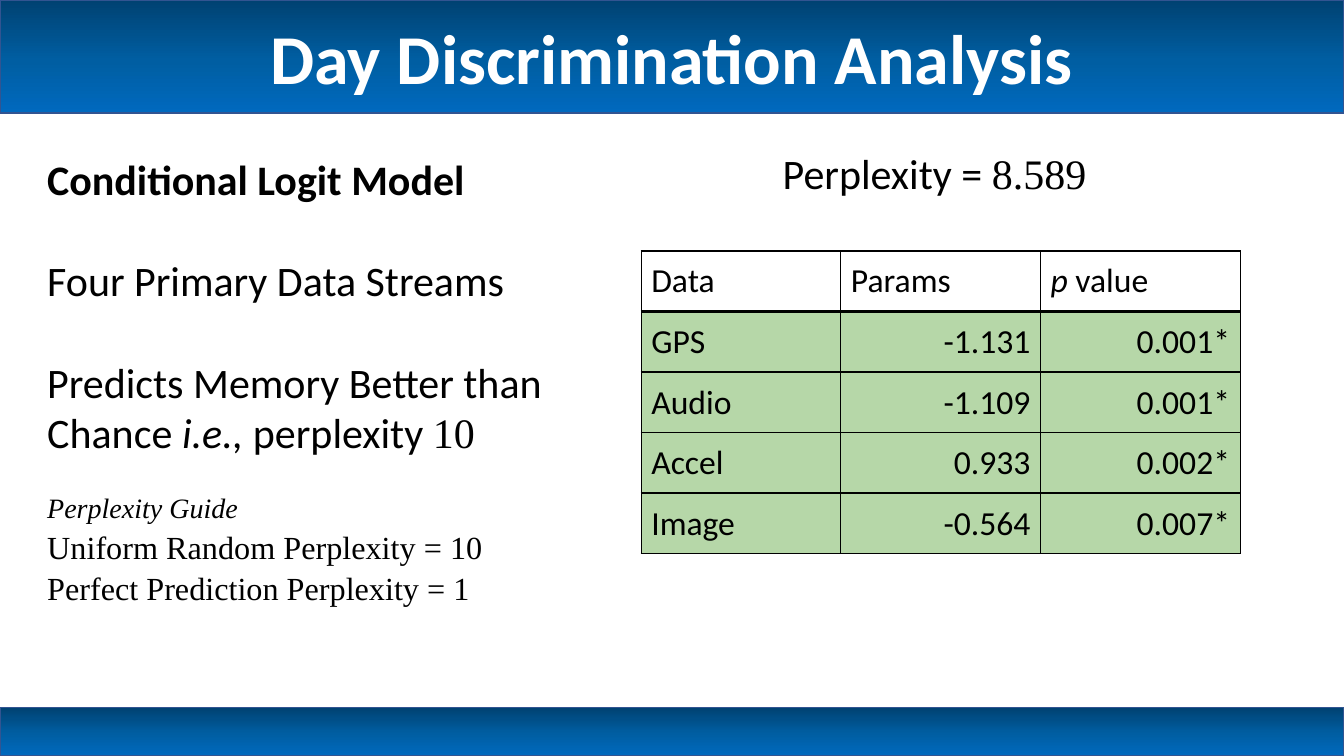
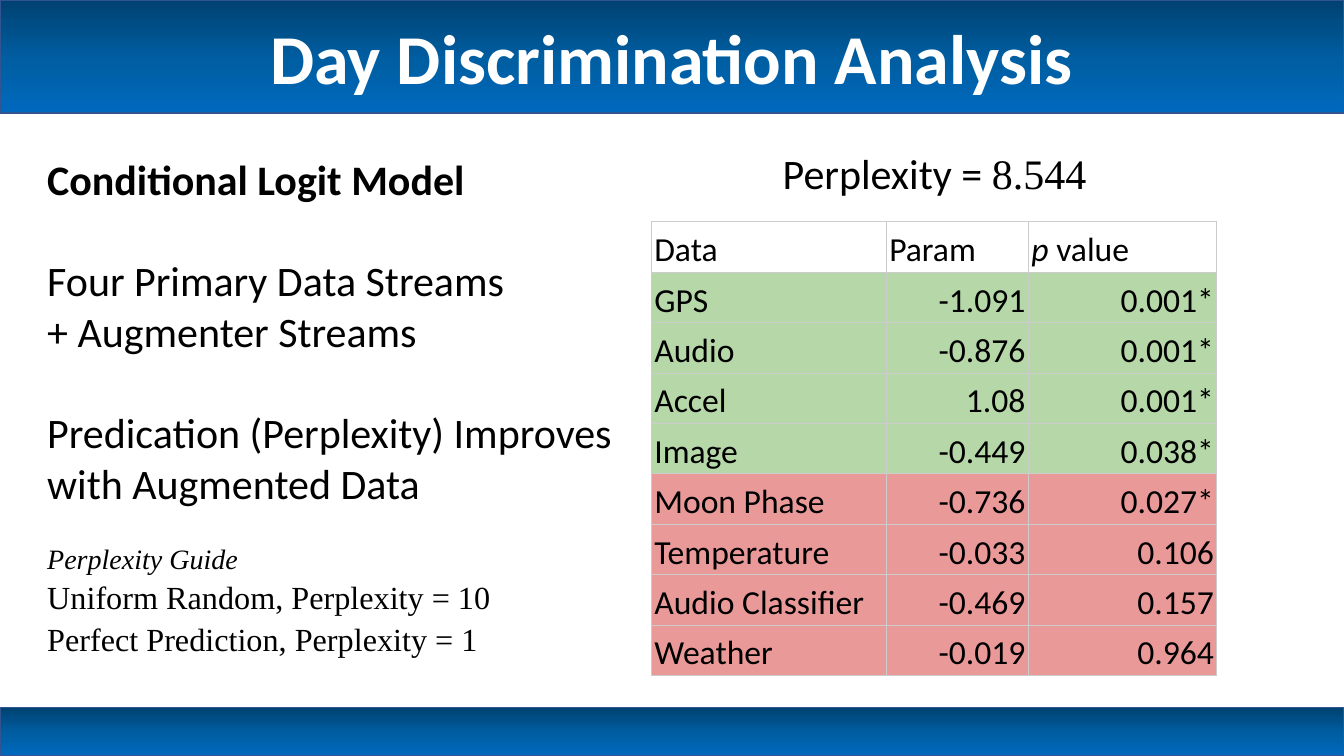
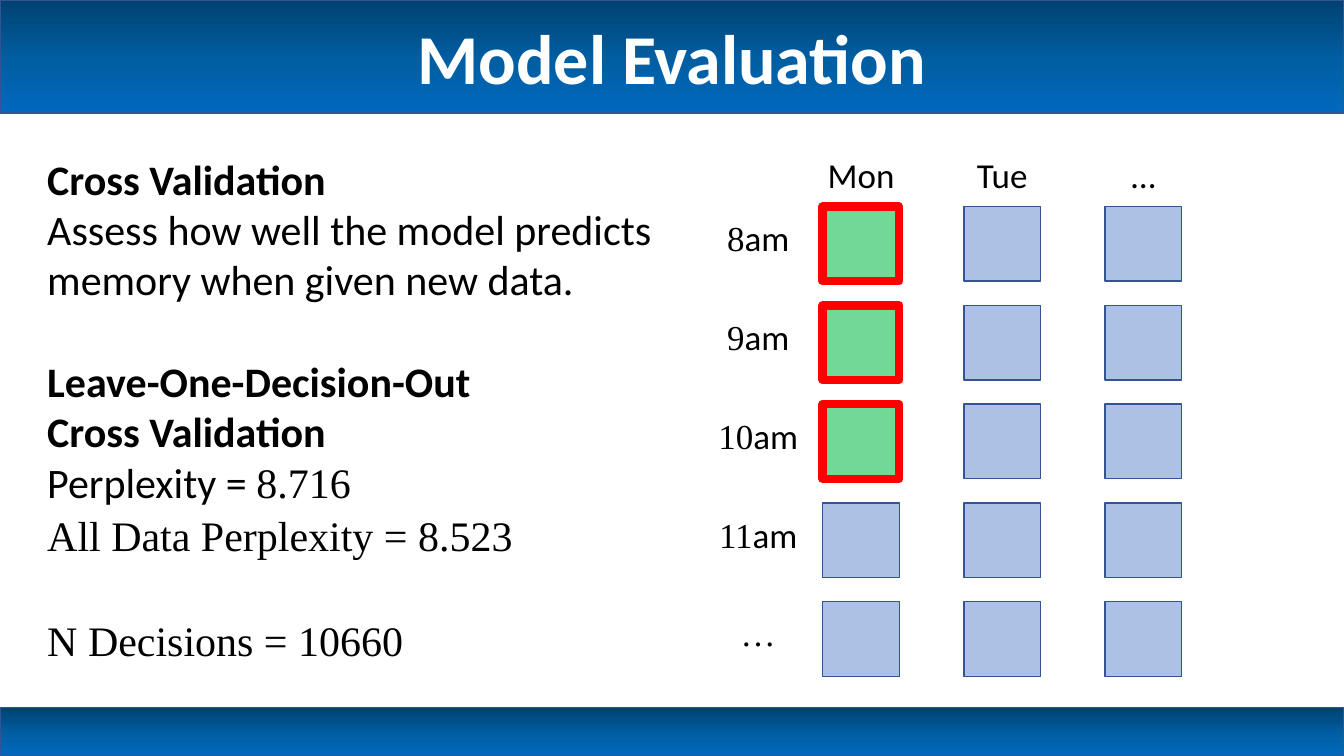
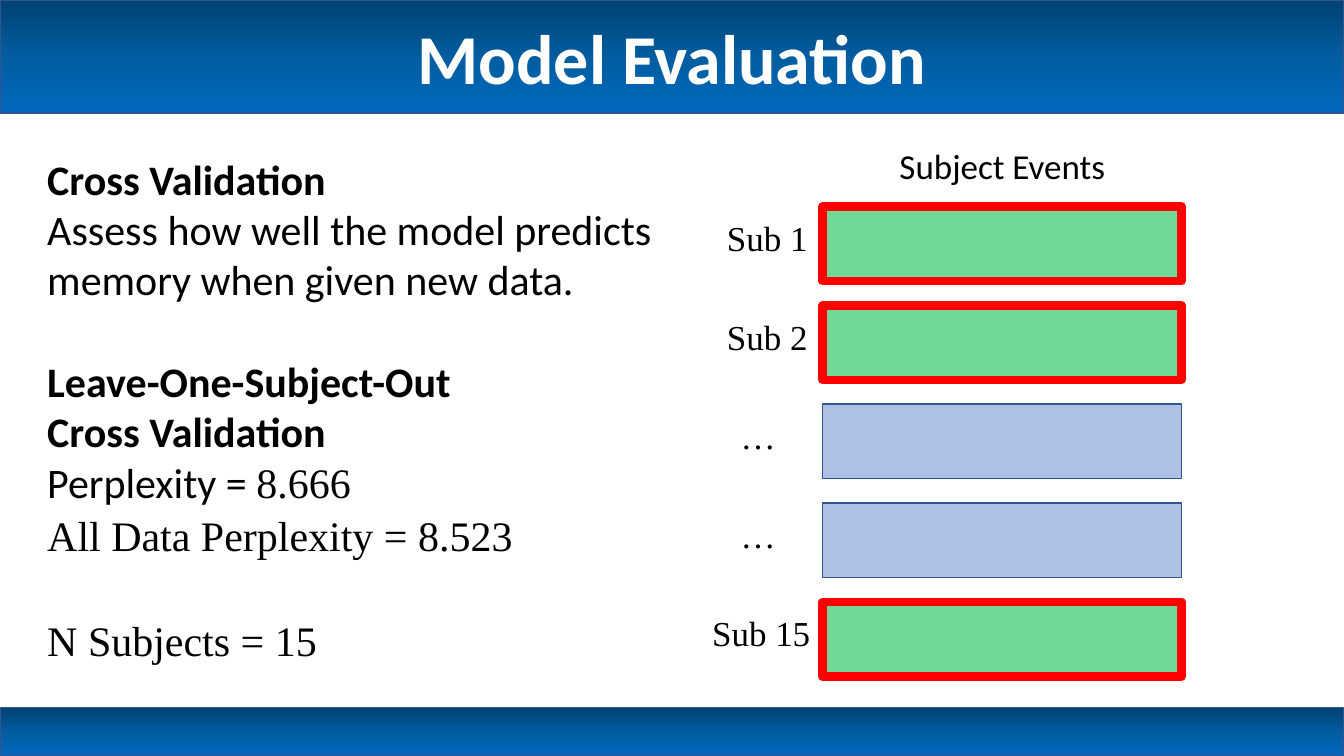
from lxml.etree import SubElement
from pptx import Presentation
from pptx.dml.color import RGBColor
from pptx.enum.shapes import MSO_SHAPE
from pptx.enum.text import MSO_ANCHOR, MSO_AUTO_SIZE, PP_ALIGN
from pptx.oxml.ns import qn
from pptx.util import Inches, Pt

WIDTH, HEIGHT = 13.33, 7.5
SANS, SERIF = "Calibri", "Times New Roman"
BLACK, WHITE, RED = "000000", "FFFFFF", "FF0000"
BLUE, GREEN, OUTLINE = "5C84CC", "39EF4A", "325491"
PRIMARY, AUGMENTER, GRID_GREY = "B6D7A8", "EA9999", "CCCCCC"
BAND_STOPS = [(0, "004272"), (54, "005EA2"), (100, "0069BE")]
BANDS = [(0, 1.12), (7.02, 0.48)]

LEFT, TOP, ROW_STEP, COLUMN_STEP = 8.16, 2.05, 0.98, 1.4
CELL_WIDTH, CELL_HEIGHT = 0.76, 0.74
BAR_WIDTH = 2 * COLUMN_STEP + CELL_WIDTH
LABEL_SIZE, LINE_GAP, GUIDE_GAP, SERIF_GAP = 25, 36.6, 24, 2


def guide(comma):
    return [
        (GUIDE_GAP, 20, [("Perplexity Guide", "si")]),
        (SERIF_GAP, 23, [(f"Uniform Random{comma} Perplexity = 10", "s")]),
        (SERIF_GAP, 23, [(f"Perfect Prediction{comma} Perplexity = 1", "s")]),
    ]


def validation(unit, perplexity, count):
    return [
        (0, 30, [("Cross Validation", "b")]),
        (0, 30, [("Assess how well the model predicts memory when given new data.", "")]),
        (LINE_GAP, 30, [(f"Leave-One-{unit}-Out", "b")]),
        (0, 30, [("Cross Validation", "b")]),
        (0, 30, [("Perplexity = ", ""), (perplexity, "s")]),
        (SERIF_GAP, 30, [("All Data Perplexity = 8.523", "s")]),
        (LINE_GAP + SERIF_GAP, 30, [(f"N {unit}s = {count}", "s")]),
    ]


ANALYSES = [
    {
        "text": [
            (0, 30, [("Conditional Logit Model", "b")]),
            (LINE_GAP, 30, [("Four Primary Data Streams", "")]),
            (LINE_GAP, 30, [("Predicts Memory Better than Chance ", ""), ("i.e., ", "i"),
                            ("perplexity ", ""), ("10", "s")]),
        ] + guide(""),
        "perplexity": "8.589",
        "rows": [
            ("Data", "Params", "p value"),
            ("GPS", "-1.131", "0.001*"),
            ("Audio", "-1.109", "0.001*"),
            ("Accel", "0.933", "0.002*"),
            ("Image", "-0.564", "0.007*"),
        ],
        "at": (6.36, 2.49), "columns": (1.98, 1.98, 1.98), "row_height": 0.6,
        "border": (BLACK, 1), "header_rule": 2, "margins": (0.1, 0.1),
        "anchor": MSO_ANCHOR.TOP, "spacing": 1.0,
    },
    {
        "text": [
            (0, 30, [("Conditional Logit Model", "b")]),
            (LINE_GAP, 30, [("Four Primary Data Streams", "")]),
            (0, 30, [("+ Augmenter Streams", "")]),
            (LINE_GAP, 30, [("Predication (Perplexity) Improves with Augmented Data", "")]),
        ] + guide(","),
        "perplexity": "8.544",
        "rows": [
            ("Data", "Param", "p value"),
            ("GPS", "-1.091", "0.001*"),
            ("Audio", "-0.876", "0.001*"),
            ("Accel", "1.08", "0.001*"),
            ("Image", "-0.449", "0.038*"),
            ("Moon Phase", "-0.736", "0.027*"),
            ("Temperature", "-0.033", "0.106"),
            ("Audio Classifier", "-0.469", "0.157"),
            ("Weather", "-0.019", "0.964"),
        ],
        "at": (6.46, 2.2), "columns": (2.33, 1.41, 1.87), "row_height": 0.5,
        "border": (GRID_GREY, 0.75), "header_rule": 0.75, "margins": (0.03, 0.02),
        "anchor": MSO_ANCHOR.BOTTOM, "spacing": 1.15,
    },
]

EVALUATIONS = [
    {
        "text": validation("Decision", "8.716", 10660),
        "headings": ["Mon", "Tue", "…"], "heading_top": 1.47, "cell_width": CELL_WIDTH,
        "labels": [(7.52, [("8", "s"), ("am", "")]), (7.52, [("9", "s"), ("am", "")]),
                   (7.52, [("10", "s"), ("am", "")]), (7.52, [("11", "s"), ("am", "")]),
                   (7.52, [("…", "s")])],
        "selected": {(0, 0), (1, 0), (2, 0)},
    },
    {
        "text": validation("Subject", "8.666", 15),
        "headings": ["Subject Events"], "heading_top": 1.38, "cell_width": BAR_WIDTH,
        "labels": [(7.61, [("Sub 1", "s")]), (7.61, [("Sub 2", "s")]), (7.52, [("…", "s")]),
                   (7.52, [("…", "s")]), (7.55, [("Sub 15", "s")])],
        "selected": {(0, 0), (1, 0), (4, 0)},
    },
]


def rgb(value):
    return RGBColor.from_string(value)


def place(shape, left, top, width, height):
    shape.left, shape.top = Inches(left), Inches(top)
    shape.width, shape.height = Inches(width), Inches(height)


def add_runs(paragraph, runs, size, color=BLACK):
    for text, style in runs:
        run = paragraph.add_run()
        run.text = text
        font = run.font
        font.name = SERIF if "s" in style else SANS
        font.size, font.bold, font.italic = Pt(size), "b" in style, "i" in style
        font.color.rgb = rgb(color)


def add_text(slide, box, paragraphs, align=PP_ALIGN.LEFT):
    frame = slide.shapes.add_textbox(*map(Inches, box)).text_frame
    frame.word_wrap = True
    for index, (before, size, runs) in enumerate(paragraphs):
        paragraph = frame.add_paragraph() if index else frame.paragraphs[0]
        paragraph.alignment = align
        paragraph.space_before = Pt(before)
        add_runs(paragraph, runs, size)


def add_centred(slide, centre, top, width, size, runs):
    add_text(slide, (centre - width / 2, top, width, 0.52), [(0, size, runs)], PP_ALIGN.CENTER)


def add_rectangle(slide, box, line, line_width, fill=None):
    shape = slide.shapes.add_shape(MSO_SHAPE.RECTANGLE, *map(Inches, box))
    shape.shadow.inherit = False
    shape.line.color.rgb = rgb(line)
    shape.line.width = Pt(line_width)
    if fill:
        shape.fill.solid()
        shape.fill.fore_color.rgb = rgb(fill)
        color = shape.fill._xPr.find(qn("a:solidFill"))[0]
        SubElement(color, qn("a:alpha")).set("val", "50000")
    return shape


def add_band(slide, top, height):
    band = add_rectangle(slide, (0, top, WIDTH, height), OUTLINE, 1)
    band.fill.gradient()
    band.fill.gradient_angle = 270
    stops = band._element.spPr.find(qn("a:gradFill")).find(qn("a:gsLst"))
    for stop in list(stops):
        stops.remove(stop)
    for position, color in BAND_STOPS:
        stop = SubElement(stops, qn("a:gs"))
        stop.set("pos", str(position * 1000))
        SubElement(stop, qn("a:srgbClr")).set("val", color)
    slide.shapes._spTree.insert(2, band._element)


def add_slide(presentation, title):
    slide = presentation.slides.add_slide(presentation.slide_layouts[5])
    for top, height in BANDS:
        add_band(slide, top, height)
    heading = slide.shapes.title
    place(heading, 2.04, 0.09, 9.25, 0.94)
    frame = heading.text_frame
    frame.auto_size, frame.word_wrap = MSO_AUTO_SIZE.NONE, True
    frame.vertical_anchor = MSO_ANCHOR.MIDDLE
    frame.paragraphs[0].alignment = PP_ALIGN.CENTER
    add_runs(frame.paragraphs[0], [(title, "b")], 50, WHITE)
    return slide


def set_border(cell, color, widths):
    properties = cell._tc.get_or_add_tcPr()
    for side, width in zip("LRTB", widths):
        line = SubElement(properties, qn(f"a:ln{side}"))
        line.set("w", str(Pt(width)))
        fill = SubElement(line, qn("a:solidFill"))
        SubElement(fill, qn("a:srgbClr")).set("val", color)


def format_cell(cell, text, row, column, analysis):
    color, width = analysis["border"]
    rule = analysis["header_rule"]
    set_border(cell, color, (width, width, rule if row == 1 else width, rule if row == 0 else width))
    if row == 0:
        cell.fill.background()
    else:
        cell.fill.solid()
        cell.fill.fore_color.rgb = rgb(PRIMARY if row <= 4 else AUGMENTER)
    side, end = map(Inches, analysis["margins"])
    cell.margin_left = cell.margin_right = side
    cell.margin_top = cell.margin_bottom = end
    cell.vertical_anchor = analysis["anchor"]
    paragraph = cell.text_frame.paragraphs[0]
    paragraph.line_spacing = analysis["spacing"]
    paragraph.alignment = PP_ALIGN.RIGHT if row and column else PP_ALIGN.LEFT
    runs = [("p", "i"), (" value", "")] if text == "p value" else [(text, "")]
    add_runs(paragraph, runs, 24)


def add_data_table(slide, analysis):
    rows, columns = analysis["rows"], analysis["columns"]
    box = (*analysis["at"], sum(columns), analysis["row_height"] * len(rows))
    table = slide.shapes.add_table(len(rows), len(columns), *map(Inches, box)).table
    table.first_row = table.horz_banding = False
    for column, width in zip(table.columns, columns):
        column.width = Inches(width)
    for row, values in enumerate(rows):
        for column, text in enumerate(values):
            format_cell(table.cell(row, column), text, row, column, analysis)


def add_analysis(presentation, analysis):
    slide = add_slide(presentation, "Day Discrimination Analysis")
    add_text(slide, (0.37, 1.47, 5.93, 4.58), analysis["text"])
    add_centred(slide, 9.27, 1.41, 3.6, 30, [("Perplexity = ", ""), (analysis["perplexity"], "s")])
    add_data_table(slide, analysis)


def add_evaluation(presentation, evaluation):
    slide = add_slide(presentation, "Model Evaluation")
    add_text(slide, (0.37, 1.47, 6.38, 5.15), evaluation["text"])
    width = evaluation["cell_width"]
    for column, heading in enumerate(evaluation["headings"]):
        left = LEFT + column * COLUMN_STEP
        add_centred(slide, left + width / 2, evaluation["heading_top"], 2.6, LABEL_SIZE, [(heading, "")])
        for row in range(len(evaluation["labels"])):
            box = (left, TOP + row * ROW_STEP, width, CELL_HEIGHT)
            add_rectangle(slide, box, OUTLINE, 1, BLUE)
            if (row, column) in evaluation["selected"]:
                add_rectangle(slide, box, RED, 6, GREEN)
    for row, (centre, runs) in enumerate(evaluation["labels"]):
        add_centred(slide, centre, TOP + 0.05 + row * ROW_STEP, 1.4, LABEL_SIZE, runs)


def main():
    presentation = Presentation()
    presentation.slide_width, presentation.slide_height = Inches(WIDTH), Inches(HEIGHT)
    for analysis in ANALYSES:
        add_analysis(presentation, analysis)
    for evaluation in EVALUATIONS:
        add_evaluation(presentation, evaluation)
    presentation.save("out.pptx")


if __name__ == "__main__":
    main()
